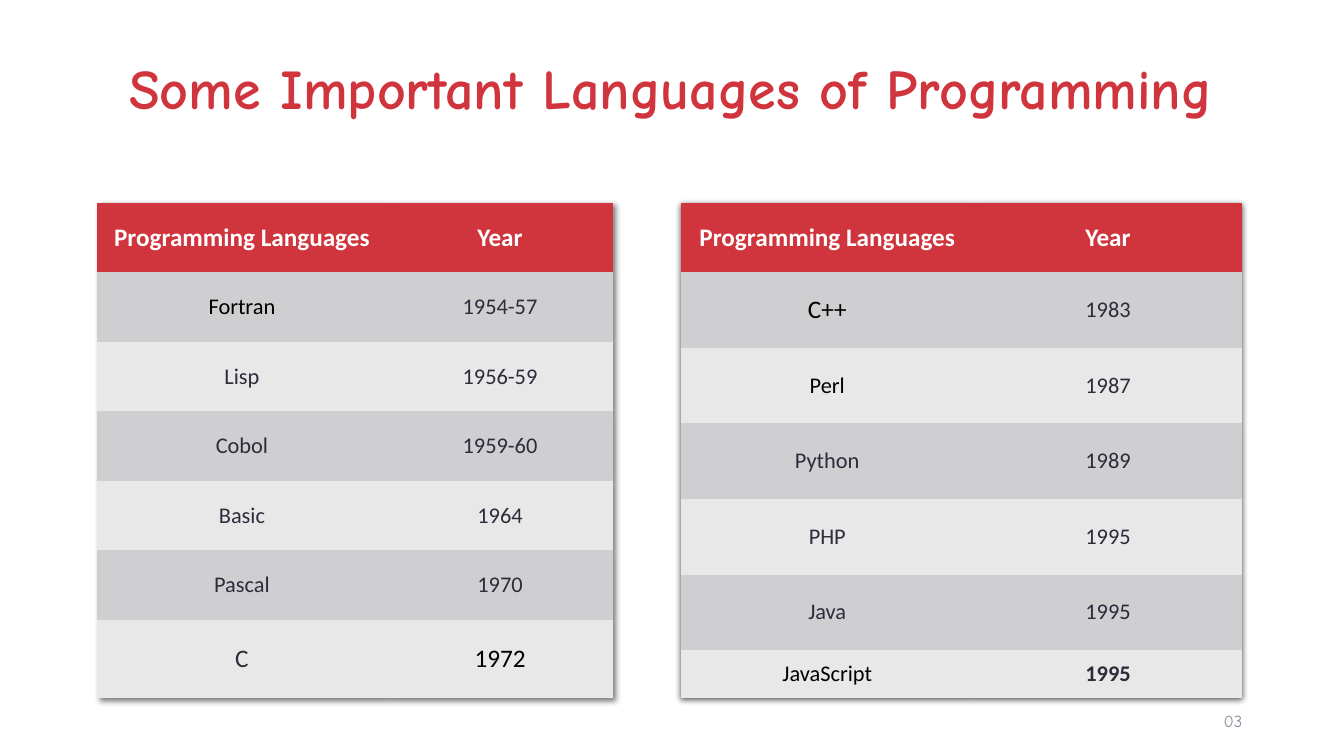
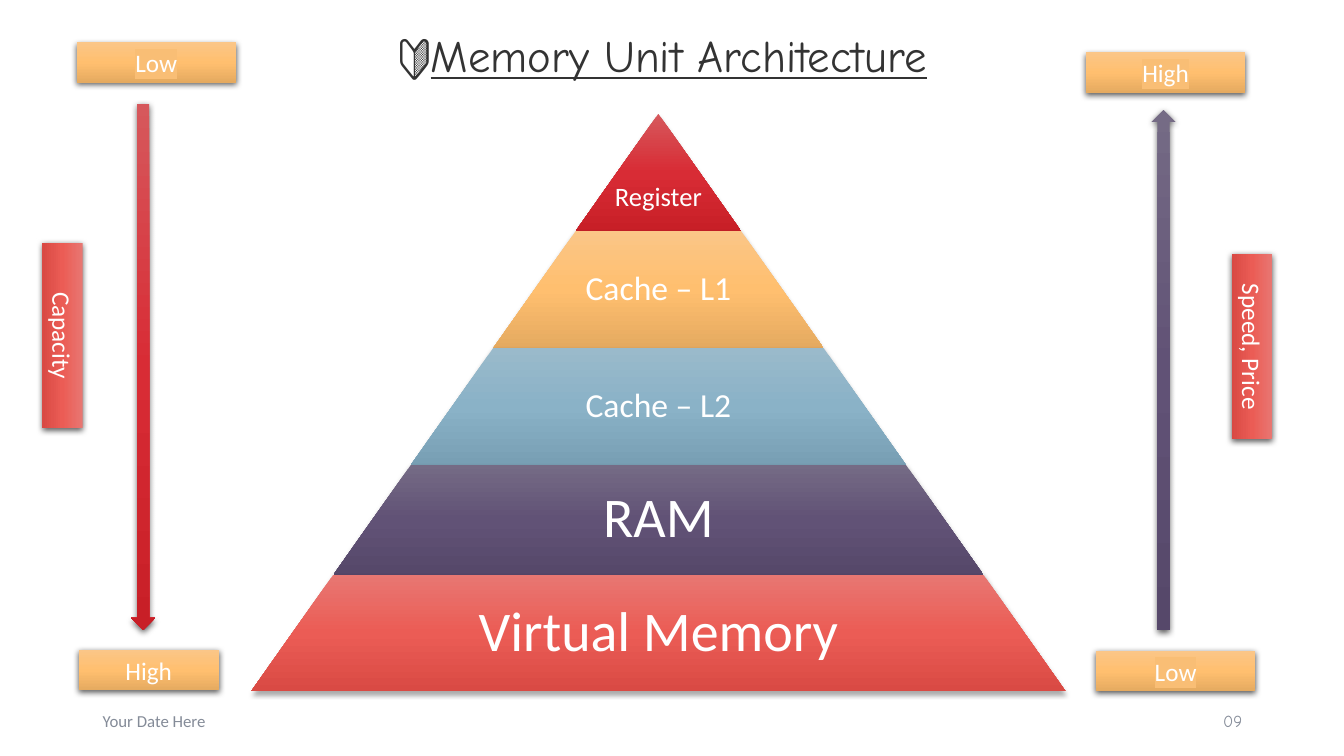
"""Build two slides: a list of programming languages and the memory pyramid."""
from dataclasses import dataclass, replace
from typing import NamedTuple

import lxml.etree
import pptx
import pptx.dml.color
import pptx.enum.shapes
import pptx.enum.text
import pptx.oxml.ns
import pptx.util

Inches = pptx.util.Inches
Pt = pptx.util.Pt
SHAPE = pptx.enum.shapes.MSO_SHAPE
ALIGN = pptx.enum.text.PP_ALIGN
MIDDLE = pptx.enum.text.MSO_ANCHOR.MIDDLE
qn = pptx.oxml.ns.qn

COLORS = {
    "accent": "D0343C", "white": "FFFFFF", "black": "000000", "ink": "302A3A",
    "title": "333333", "footer": "848B98", "highlight": "F9BE75",
    "row_dark": "CFCED0", "row_light": "E8E8E9",
}
GRADIENTS = {
    "red": ("D6585C", "D82C35", "C81F27"),
    "orange": ("FBC687", "FFBF6F", "E5AA60"),
    "blue": ("9ABACB", "8AB2C7", "789FB4"),
    "purple": ("756B85", "615276", "56486A"),
    "coral": ("E87772", "EB5C55", "D94A44"),
}
NO_GRID_STYLE = "{2D5ABB26-0587-4C30-8999-92F81FD0307C}"
SLOPE = 0.705
PYRAMID_TOP = 1.13
PYRAMID_CENTER = 6.53


class Box(NamedTuple):
    """Position and size in inches."""
    left: float
    top: float
    width: float
    height: float

    def emu(self) -> list:
        """Return the four lengths."""
        return [Inches(v) for v in self]


@dataclass(frozen=True)
class Style:
    """Look of a text run."""
    size: float
    color: str = "white"
    font: str = "Calibri"
    bold: bool = False
    underline: bool = False
    highlight: bool = False


@dataclass(frozen=True)
class Shadow:
    """Outer shadow: opacity in percent, lengths in points, angle in degrees."""
    alpha: int
    blur: float
    dist: float
    angle: int = 90


class Level(NamedTuple):
    """One layer of the pyramid."""
    text: str
    gradient: str
    height: float
    size: float
    spacing: float = 0.9


class Label(NamedTuple):
    """A small captioned rectangle."""
    text: str
    box: Box
    gradient: str = "orange"
    highlight: bool = False
    rotation: float = 0


class Arrow(NamedTuple):
    """A vertical block arrow."""
    kind: pptx.enum.shapes.MSO_SHAPE
    box: Box
    gradient: str


class Grid(NamedTuple):
    """A language table with its exceptional cell styles."""
    box: Box
    cols: tuple
    heights: tuple
    rows: tuple
    special: dict
    shadow: Shadow


TITLE = Style(40, "accent", "Comic Neue", bold=True)
SUBTITLE = Style(32, "title", "Comic Neue", underline=True)
FOOTER = Style(12, "footer")
HEADER = Style(18, bold=True)
BODY = Style(16, "ink")
STRONG = replace(BODY, color="black")
CAPTION = Style(18)
SOFT = Shadow(32, 3.5, 2.2)
RAISED = Shadow(63, 4.5, 1.5)

GRIDS = (
    Grid(Box(0.96, 2.01, 5.12, 4.93), (2.88, 2.24), (0.69,) * 6 + (0.78,),
         (("Fortran", "1954-57"), ("Lisp", "1956-59"), ("Cobol", "1959-60"),
          ("Basic", "1964"), ("Pascal", "1970"), ("C", "1972")),
         {(1, 0): STRONG, (6, 0): replace(BODY, size=18),
          (6, 1): replace(STRONG, size=18)}, Shadow(50, 4, 3, 45)),
    Grid(Box(6.75, 2.01, 5.58, 4.93), (2.91, 2.66), (0.69,) + (0.75,) * 5 + (0.48,),
         (("C++", "1983"), ("Perl", "1987"), ("Python", "1989"),
          ("PHP", "1995"), ("Java", "1995"), ("JavaScript", "1995")),
         {(1, 0): replace(STRONG, size=18), (2, 0): STRONG, (6, 0): STRONG,
          (6, 1): replace(BODY, bold=True)}, RAISED),
)
LEVELS = (
    Level("Register", "red", 1.16, 19, 2.5),
    Level("Cache – L1", "orange", 1.16, 24),
    Level("Cache – L2", "blue", 1.16, 24),
    Level("RAM", "purple", 1.09, 40),
    Level("Virtual Memory", "coral", 1.16, 40),
)
ARROWS = (
    Arrow(SHAPE.DOWN_ARROW, Box(1.3, 1.03, 0.24, 5.22), "red"),
    Arrow(SHAPE.UP_ARROW, Box(11.42, 1.09, 0.24, 5.16), "purple"),
)
LABELS = (
    Label("Low", Box(0.76, 0.42, 1.58, 0.4), highlight=True),
    Label("High", Box(0.78, 6.45, 1.39, 0.4)),
    Label("High", Box(10.77, 0.52, 1.58, 0.4), highlight=True),
    Label("Low", Box(10.87, 6.46, 1.58, 0.4), highlight=True),
    Label("Capacity", Box(-0.3, 3.13, 1.84, 0.4), "coral", rotation=90),
    Label("Speed, Price", Box(11.5, 3.24, 1.84, 0.4), "coral", rotation=90),
)


def rgb(name: str) -> pptx.dml.color.RGBColor:
    """Look up a named colour."""
    return pptx.dml.color.RGBColor.from_string(COLORS[name])


def add_color(parent, value: str):
    """Append a plain colour element."""
    return lxml.etree.SubElement(parent, qn("a:srgbClr"), val=value)


def format_run(r, style: Style) -> None:
    """Apply a style to a run."""
    f = r.font
    f.size, f.name = Pt(style.size), style.font
    f.bold, f.underline = style.bold, style.underline
    f.color.rgb = rgb(style.color)
    if style.highlight:
        hl = lxml.etree.Element(qn("a:highlight"))
        add_color(hl, COLORS["highlight"])
        r._r.rPr.find(qn("a:solidFill")).addnext(hl)


def write(tf, text: str, style: Style, align=ALIGN.CENTER, spacing: float = 1.0):
    """Fill a text frame with one formatted paragraph and return it."""
    tf.text = text
    p = tf.paragraphs[0]
    p.alignment, p.line_spacing = align, spacing
    for r in p.runs:
        format_run(r, style)
    return p


def add_text(s, box: Box, text: str, style: Style, align=ALIGN.CENTER,
             spacing: float = 0.9, inset: float = 0.1):
    """Add a wrapped, vertically centred text box."""
    tf = s.shapes.add_textbox(*box.emu()).text_frame
    tf.word_wrap, tf.vertical_anchor = True, MIDDLE
    tf.margin_left = tf.margin_right = Inches(inset)
    tf.margin_top = tf.margin_bottom = Inches(min(inset, 0.05))
    return write(tf, text, style, align, spacing)


def add_shadow(effects, shadow: Shadow) -> None:
    """Put an outer shadow into an effect list."""
    outer = lxml.etree.SubElement(
        effects, qn("a:outerShdw"), blurRad=str(Pt(shadow.blur)),
        dist=str(Pt(shadow.dist)), dir=str(shadow.angle * 60000), rotWithShape="0")
    lxml.etree.SubElement(add_color(outer, COLORS["black"]), qn("a:alpha"),
                          val=str(shadow.alpha * 1000))


def add_block(s, kind, box: Box, gradient: str, shadow: Shadow):
    """Add a borderless shape with a vertical gradient and a shadow."""
    sp = s.shapes.add_shape(kind, *box.emu())
    sp.line.fill.background()
    sp.fill.gradient()
    sp.fill.gradient_angle = 270
    stops = sp._element.spPr.find(qn("a:gradFill")).find(qn("a:gsLst"))
    for stop in list(stops):
        stops.remove(stop)
    for i, value in enumerate(GRADIENTS[gradient]):
        add_color(lxml.etree.SubElement(stops, qn("a:gs"), pos=str(i * 50000)), value)
    sp.shadow.inherit = False
    add_shadow(sp._element.spPr.find(qn("a:effectLst")), shadow)
    return sp


def add_grid(s, grid: Grid) -> None:
    """Add a language table."""
    rows = (("Programming Languages", "Year"),) + grid.rows
    table = s.shapes.add_table(len(rows), len(grid.cols), *grid.box.emu()).table
    props = table._tbl.tblPr
    props.find(qn("a:tableStyleId")).text = NO_GRID_STYLE
    effects = lxml.etree.Element(qn("a:effectLst"))
    add_shadow(effects, grid.shadow)
    props.insert(0, effects)
    for col, width in zip(table.columns, grid.cols):
        col.width = Inches(width)
    for i, (texts, height) in enumerate(zip(rows, grid.heights)):
        table.rows[i].height = Inches(height)
        fill = "accent" if i == 0 else ("row_light", "row_dark")[i % 2]
        for j, text in enumerate(texts):
            cell = table.cell(i, j)
            cell.fill.solid()
            cell.fill.fore_color.rgb = rgb(fill)
            cell.vertical_anchor = MIDDLE
            cell.margin_left = cell.margin_right = Inches(0.06)
            write(cell.text_frame, text,
                  HEADER if i == 0 else grid.special.get((i, j), BODY))


def add_pyramid(s) -> None:
    """Stack the levels so that their sides form straight lines."""
    depth = 0.0
    for level in LEVELS:
        top = PYRAMID_TOP + depth
        depth += level.height
        width = 2 * SLOPE * depth
        box = Box(PYRAMID_CENTER - width / 2, top, width, level.height)
        sp = add_block(s, SHAPE.TRAPEZOID, box, level.gradient, SOFT)
        sp.adjustments[0] = SLOPE
        inner = box._replace(left=PYRAMID_CENTER - 0.325 * width, width=0.65 * width)
        add_text(s, inner, level.text, Style(level.size), spacing=level.spacing,
                 inset=0.03)


def add_label(s, label: Label) -> None:
    """Add a captioned rectangle."""
    sp = add_block(s, SHAPE.RECTANGLE, label.box, label.gradient, RAISED)
    sp.rotation = label.rotation
    sp.text_frame.vertical_anchor = MIDDLE
    write(sp.text_frame, label.text, replace(CAPTION, highlight=label.highlight))


def add_page_number(s, number: str) -> None:
    """Add the page number at the bottom right."""
    add_text(s, Box(9.42, 6.95, 3, 0.4), number, replace(FOOTER, font="Comic Neue"),
             ALIGN.RIGHT, 1.0)


def build_languages(s) -> None:
    """Draw the slide of languages and years."""
    add_text(s, Box(1, 0.29, 11.5, 1.24), "Some Important Languages of Programming ", TITLE)
    for grid in GRIDS:
        add_grid(s, grid)
    add_page_number(s, "03")


def build_memory(s) -> None:
    """Draw the slide of memory levels."""
    p = add_text(s, Box(3.33, 0.23, 6.49, 0.69), "🔰",
                 replace(SUBTITLE, font="Calibri", underline=False))
    r = p.add_run()
    r.text = "Memory Unit Architecture"
    format_run(r, SUBTITLE)
    add_text(s, Box(0.92, 6.95, 3, 0.4), "Your Date Here", FOOTER, ALIGN.LEFT, 1.0)
    add_page_number(s, "09")
    add_pyramid(s)
    for arrow in ARROWS:
        add_block(s, arrow.kind, arrow.box, arrow.gradient, RAISED)
    for label in LABELS:
        add_label(s, label)


def main() -> None:
    """Build and save the presentation."""
    prs = pptx.Presentation()
    prs.slide_width, prs.slide_height = Inches(13.33), Inches(7.5)
    for build in (build_languages, build_memory):
        build(prs.slides.add_slide(prs.slide_layouts[6]))
    prs.save("out.pptx")


if __name__ == "__main__":
    main()
